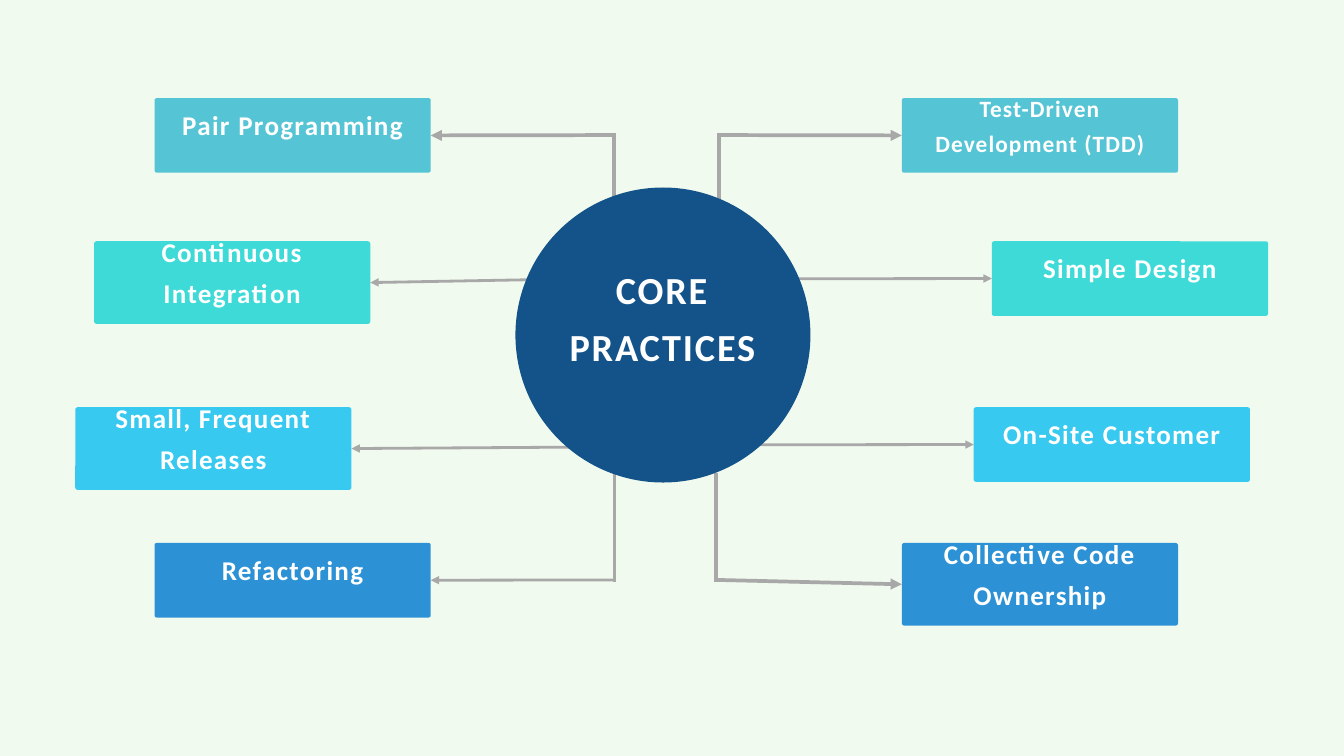
"""Build a hub-and-spoke slide of core practices."""
import pptx
import pptx.dml.color
import pptx.enum.shapes
import pptx.enum.text
import pptx.oxml
import pptx.util
from pptx.util import Inches

COLORS = {
    "background": "F1FAEE",
    "hub": "13538A",
    "line": "A8A8A8",
    "text": "FFFFFF",
    "teal": "55C4D4",
    "turquoise": "3EDAD8",
    "sky": "37C9EF",
    "blue": "2C92D5",
}
BOX_W, ONE_LINE, TWO_LINES = 4.11, 1.11, 1.23
LEFT, RIGHT = 1, 3
SHAPE = pptx.enum.shapes.MSO_SHAPE

# text, left, top, height, colour, side joined, line start, line width
PRACTICES = [
    ("Pair Programming", 2.3, 1.46, ONE_LINE, "teal", RIGHT, (9.14, 2.01), 4),
    ("Test-Driven Development (TDD)", 13.42, 1.46, ONE_LINE, "teal", LEFT, (10.7, 2.01), 4),
    ("Continuous Integration", 1.4, 3.59, TWO_LINES, "turquoise", RIGHT, (9.17, 4.14), 3),
    ("Simple Design", 14.76, 3.59, ONE_LINE, "turquoise", LEFT, (10.67, 4.15), 3),
    ("Small, Frequent Releases", 1.12, 6.06, TWO_LINES, "sky", RIGHT, (9.12, 6.65), 3),
    ("On-Site Customer", 14.49, 6.06, ONE_LINE, "sky", LEFT, (10.65, 6.62), 3),
    ("Refactoring", 2.3, 8.08, ONE_LINE, "blue", RIGHT, (9.14, 8.63), 3),
    ("Collective Code Ownership", 13.42, 8.08, TWO_LINES, "blue", LEFT, (10.67, 8.63), 4),
]
# x, y at the hub, y at the corner, line width
STEMS = [(9.14, 4.14, 1.98, 4), (10.7, 4.08, 1.98, 4),
         (9.14, 7.04, 8.66, 3), (10.65, 7.04, 8.66, 4)]


def rgb(name):
    """Return the named colour."""
    return pptx.dml.color.RGBColor.from_string(COLORS[name])


def add_filled(s, kind, x, y, w, h, color):
    """Add a plain filled shape."""
    sp = s.shapes.add_shape(kind, Inches(x), Inches(y), Inches(w), Inches(h))
    sp.shadow.inherit = False
    sp.fill.solid()
    sp.fill.fore_color.rgb = rgb(color)
    sp.line.fill.background()
    return sp


def write(sp, text, size, spacing):
    """Write centred bold text with 1.5 line pitch and letter spacing."""
    tf = sp.text_frame
    tf.word_wrap = True
    tf.auto_size = pptx.enum.text.MSO_AUTO_SIZE.NONE
    tf.vertical_anchor = pptx.enum.text.MSO_ANCHOR.MIDDLE
    tf.margin_left = tf.margin_right = tf.margin_top = tf.margin_bottom = Inches(0.06)
    p = tf.paragraphs[0]
    p.alignment = pptx.enum.text.PP_ALIGN.CENTER
    p.line_spacing = pptx.util.Pt(size * 1.5)
    r = p.add_run()
    r.text = text
    r.font._element.set("spc", str(int(spacing * 100)))
    p.font.name = "Calibri"
    p.font.size = pptx.util.Pt(size)
    p.font.bold = True
    p.font.color.rgb = rgb("text")


def add_line(s, start, end, width, arrow=False):
    """Add a straight grey line, with an arrowhead at its end if asked."""
    c = s.shapes.add_connector(pptx.enum.shapes.MSO_CONNECTOR.STRAIGHT,
                               *(Inches(v) for v in (*start, *end)))
    c.line.color.rgb = rgb("line")
    c.line.width = pptx.util.Pt(width)
    if arrow:
        tail = pptx.oxml.parse_xml(
            '<a:tailEnd xmlns:a="http://schemas.openxmlformats.org/drawingml/2006/main"'
            ' type="triangle"/>')
        c.line._get_or_add_ln().append(tail)
    c._element.spPr.append(pptx.oxml.parse_xml(
        '<a:effectLst xmlns:a="http://schemas.openxmlformats.org/drawingml/2006/main"/>'))
    return c


def add_practice(s, text, x, y, h, color, side, start, width):
    """Add a practice box, its raised label and the arrow that joins it."""
    box = add_filled(s, SHAPE.ROUNDED_RECTANGLE, x, y, BOX_W, h, color)
    box.adjustments[0] = 0.03
    size, spacing, lift = (25, 1.2, 0.38) if "TDD" in text else (29, 1.4, 0.43)
    label = s.shapes.add_textbox(Inches(x), Inches(y - lift), Inches(BOX_W), Inches(h + lift))
    write(label, text, size, spacing)
    add_line(s, start, (x, y), width, arrow=True).end_connect(box, side)


def add_hub(s):
    """Add the central circle with the slide title on it."""
    hub = add_filled(s, SHAPE.OVAL, 7.67, 2.79, 4.39, 4.39, "hub")
    title = s.shapes.title
    title.left, title.top, title.width, title.height = (
        Inches(v) for v in (8.08, 2.53, 3.56, 4.23))
    write(title, "CORE PRACTICES", 41, 2)
    hub._element.addnext(title._element)


def main():
    """Build and save the slide."""
    prs = pptx.Presentation()
    prs.slide_width, prs.slide_height = Inches(20), Inches(11.25)
    s = prs.slides.add_slide(prs.slide_layouts[5])
    s.background.fill.solid()
    s.background.fill.fore_color.rgb = rgb("background")
    for practice in PRACTICES:
        add_practice(s, *practice)
    for x, hub_y, corner_y, width in STEMS:
        add_line(s, (x, hub_y), (x, corner_y), width)
    add_hub(s)
    prs.save("out.pptx")


if __name__ == "__main__":
    main()
